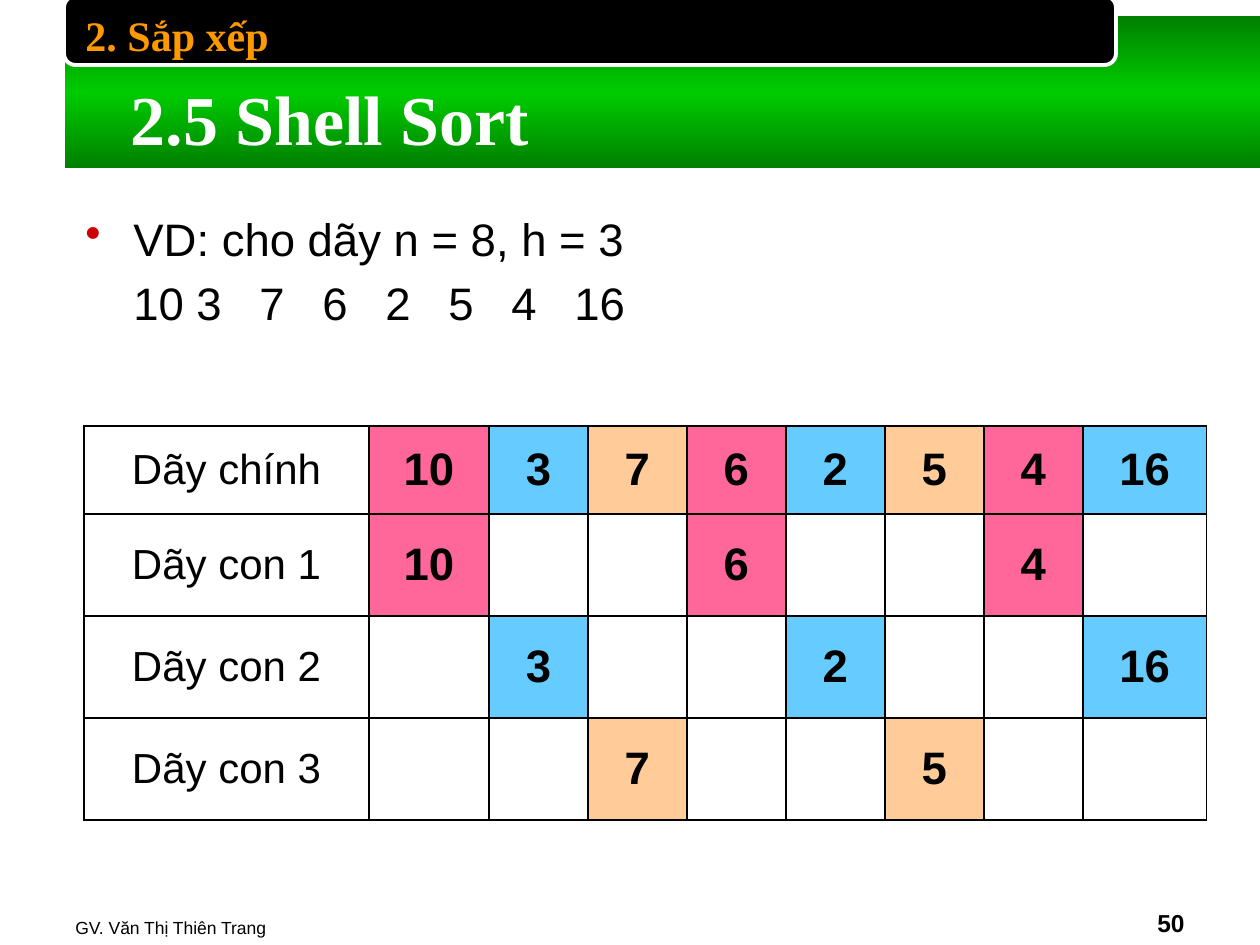
from copy import deepcopy

from lxml.etree import SubElement
from pptx import Presentation
from pptx.dml.color import RGBColor
from pptx.enum.shapes import MSO_SHAPE
from pptx.enum.text import MSO_ANCHOR, PP_ALIGN
from pptx.oxml.ns import qn
from pptx.util import Emu, Pt

PX_PER_INCH = 126
COLORS = {
    "black": "000000", "white": "FFFFFF", "dark green": "008000",
    "green": "00CC00", "orange": "FF9900", "red": "CC0000",
    "pink": "FF6699", "blue": "66CCFF", "peach": "FFCC99",
}
SEQUENCE = [10, 3, 7, 6, 2, 5, 4, 16]
STEP_COLORS = ["pink", "blue", "peach"]  # one per subsequence, h = 3
COLUMN_WIDTHS = [285, 120] + [99] * 6 + [124]
ROW_HEIGHTS = [88] + [102] * 3


def px(n):
    return Emu(round(n * 914400 / PX_PER_INCH))


def box(left, top, width, height):
    return px(left), px(top), px(width), px(height)


def color(name):
    return RGBColor.from_string(COLORS[name])


def style(paragraph, size, name="black", bold=False, font="Arial", align=None):
    paragraph.font.size = Pt(size)
    paragraph.font.name = font
    paragraph.font.bold = bold
    paragraph.font.color.rgb = color(name)
    paragraph.alignment = align


def add_panel(slide, preset, bounds, fill, line=None):
    panel = slide.shapes.add_shape(preset, *box(*bounds))
    panel.shadow.inherit = False
    panel.fill.solid()
    panel.fill.fore_color.rgb = color(fill)
    if line:
        panel.line.color.rgb = color(line)
        panel.line.width = Pt(2.25)
    else:
        panel.line.fill.background()
    return panel


def add_band(slide):
    band = add_panel(slide, MSO_SHAPE.RECTANGLE, (0, 16, 1261, 152), "green")
    band.fill.gradient()
    band.fill.gradient_angle = 270
    stop_list = band._element.spPr.find(".//" + qn("a:gsLst"))
    stop_list.append(deepcopy(stop_list[0]))
    names = ["dark green", "green", "dark green"]
    for i, (stop, name) in enumerate(zip(band.fill.gradient_stops, names)):
        stop.position = i / 2
        stop.color.rgb = color(name)


def add_text(slide, bounds, text, size, anchor=MSO_ANCHOR.TOP, **look):
    frame = slide.shapes.add_textbox(*box(*bounds)).text_frame
    frame.word_wrap = True
    frame.vertical_anchor = anchor
    frame.text = text
    for paragraph in frame.paragraphs:
        style(paragraph, size, **look)
    return frame


def place_title(slide):
    title = slide.shapes.title
    title.left, title.top, title.width, title.height = box(118, 69, 425, 97)
    slide.shapes._spTree.append(title._element)  # bring in front of the band
    frame = title.text_frame
    frame.text = "2.5 Shell Sort"
    frame.word_wrap = False
    frame.vertical_anchor = MSO_ANCHOR.TOP
    style(frame.paragraphs[0], 40, "white", True, "Times New Roman", PP_ALIGN.LEFT)


def add_example(slide):
    frame = slide.shapes.add_textbox(*box(73, 205, 1134, 677)).text_frame
    frame.word_wrap = True
    numbers = "".join(f"\t{value}" for value in SEQUENCE)
    frame.text = "VD: cho dãy n = 8, h = 3\n" + numbers
    intro, listing = frame.paragraphs
    for paragraph in (intro, listing):
        properties = paragraph._p.get_or_add_pPr()
        properties.set("marL", str(px(48)))
        properties.set("indent", str(-px(48)))
    bullet = intro._p.get_or_add_pPr()
    bullet_color = SubElement(bullet, qn("a:buClr"))
    SubElement(bullet_color, qn("a:srgbClr"), val=COLORS["red"])
    SubElement(bullet, qn("a:buChar"), char="•")
    for paragraph in (intro, listing):
        style(paragraph, 26, align=PP_ALIGN.JUSTIFY)
    listing.space_before = Pt(5.2)


def add_borders(cell):
    properties = cell._tc.get_or_add_tcPr()
    for i, side in enumerate(("a:lnL", "a:lnR", "a:lnT", "a:lnB")):
        line = SubElement(properties, qn(side), w=str(Pt(1)))
        fill = SubElement(line, qn("a:solidFill"))
        SubElement(fill, qn("a:srgbClr"), val=COLORS["black"])
        properties.insert(i, line)  # borders come before the fill


def fill_cell(cell, text, fill, size, bold):
    cell.fill.solid()
    cell.fill.fore_color.rgb = color(fill)
    cell.vertical_anchor = MSO_ANCHOR.MIDDLE
    add_borders(cell)
    if text:
        cell.text = text
        style(cell.text_frame.paragraphs[0], size, bold=bold, align=PP_ALIGN.CENTER)


def add_sequences(slide):
    bounds = box(84, 426, sum(COLUMN_WIDTHS), sum(ROW_HEIGHTS))
    table = slide.shapes.add_table(len(ROW_HEIGHTS), len(COLUMN_WIDTHS), *bounds).table
    for column, width in zip(table.columns, COLUMN_WIDTHS):
        column.width = px(width)
    for r, height in enumerate(ROW_HEIGHTS):
        table.rows[r].height = px(height)
        label = f"Dãy con {r}" if r else "Dãy chính"
        fill_cell(table.cell(r, 0), label, "white", 24, False)
        for i, value in enumerate(SEQUENCE):
            group = i % len(STEP_COLORS)
            shown = r in (0, group + 1)
            fill_cell(table.cell(r, i + 1), str(value) if shown else "",
                      STEP_COLORS[group] if shown else "white", 26, True)


def main():
    deck = Presentation()
    deck.slide_width, deck.slide_height = px(1260), px(945)
    slide = deck.slides.add_slide(deck.slide_layouts[5])

    # Header
    add_band(slide)
    add_panel(slide, MSO_SHAPE.ROUNDED_RECTANGLE, (64, -4, 1052, 69), "black", "white")
    add_panel(slide, MSO_SHAPE.RECTANGLE, (-1, 0, 66, 945), "white")

    # Footer
    add_text(slide, (63, 881, 766, 63), "GV. Văn Thị Thiên Trang", 10, MSO_ANCHOR.BOTTOM)
    add_text(slide, (903, 881, 294, 63), "50", 14, MSO_ANCHOR.BOTTOM,
             bold=True, align=PP_ALIGN.RIGHT)

    # Content
    place_title(slide)
    add_example(slide)
    add_sequences(slide)
    add_text(slide, (73, 3, 966, 63), "2. Sắp xếp", 24,
             name="orange", bold=True, font="Times New Roman")

    deck.save("out.pptx")


if __name__ == "__main__":
    main()
